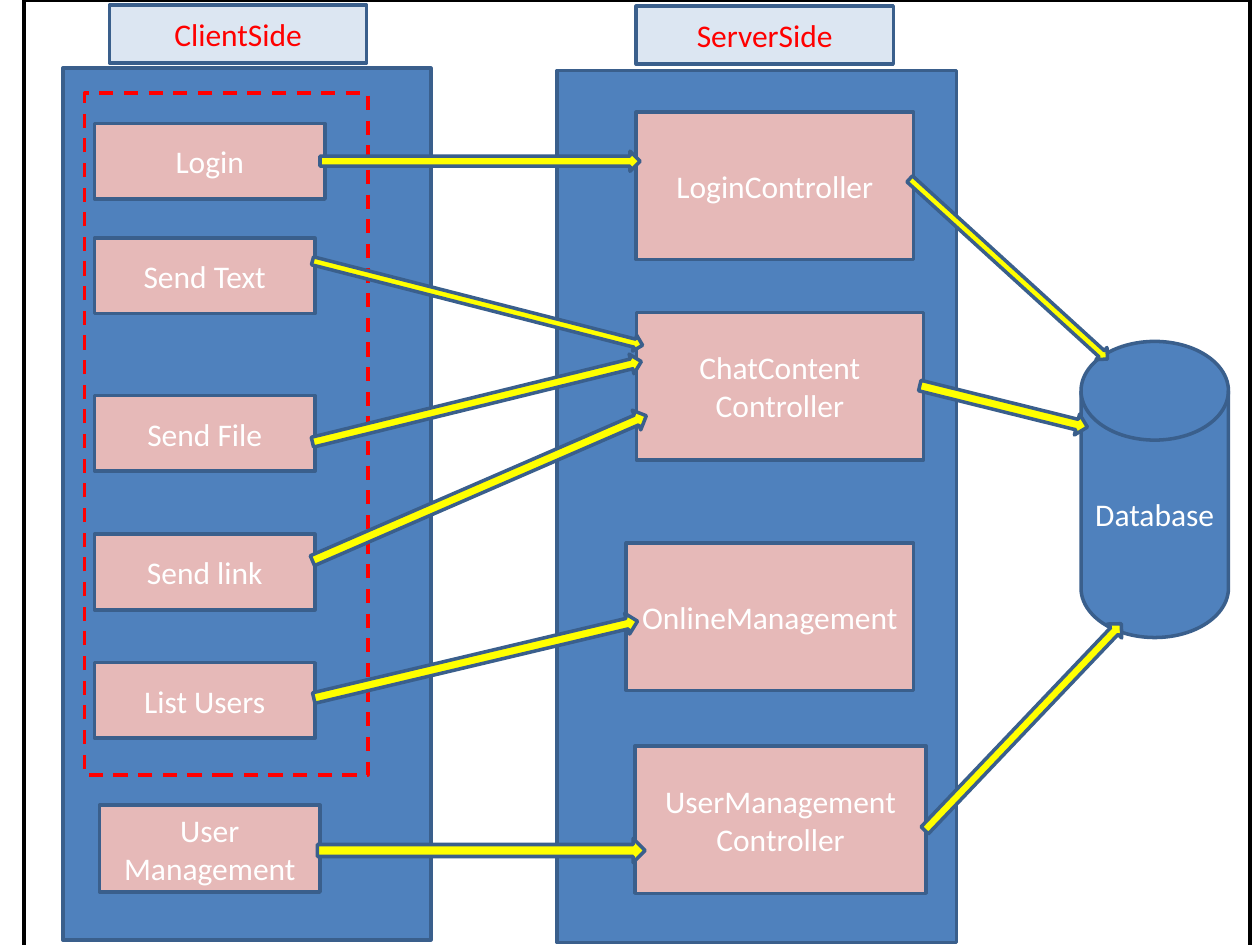
import math
from dataclasses import dataclass

from pptx import Presentation
from pptx.dml.color import RGBColor
from pptx.enum import dml, shapes, text
from pptx.util import Inches, Pt


@dataclass(frozen=True)
class Theme:
    """Colours and type of the diagram."""
    panel: str = "4F81BD"
    outline: str = "3A5F8C"
    module: str = "E6B9B8"
    header: str = "DCE6F2"
    arrow: str = "FFFF00"
    accent: str = "FF0000"
    border: str = "000000"
    light: str = "FFFFFF"
    font: str = "Calibri"
    size: int = 18
    line: int = 2


THEME = Theme()
KIND = shapes.MSO_SHAPE


def add_box(page, box, fill=None, label="", line=THEME.outline,
            color=THEME.light, kind=KIND.RECTANGLE):
    """Draw one outlined shape, with a centred label if given."""
    shape = page.shapes.add_shape(kind, *(Inches(side) for side in box))
    shape.shadow.inherit = False
    if fill:
        shape.fill.solid()
        shape.fill.fore_color.rgb = RGBColor.from_string(fill)
    else:
        shape.fill.background()
    shape.line.color.rgb = RGBColor.from_string(line)
    shape.line.width = Pt(THEME.line)
    if label:
        frame = shape.text_frame
        frame.word_wrap = True
        frame.vertical_anchor = text.MSO_ANCHOR.MIDDLE
        frame.text = label
        for para in frame.paragraphs:
            para.alignment = text.PP_ALIGN.CENTER
            para.font.name = THEME.font
            para.font.size = Pt(THEME.size)
            para.font.color.rgb = RGBColor.from_string(color)
    return shape


def add_side(page, box, title, header, modules):
    """Draw a panel with its header and modules, placed from its corner."""
    left, top = box[:2]
    add_box(page, box, THEME.panel)
    for label, x, y, width, height in modules:
        add_box(page, (left + x, top + y, width, height), THEME.module, label)
    x, y = header
    add_box(page, (left + x, top + y, 2.04, 0.46), THEME.header, title,
            color=THEME.accent)


def add_client(page, box):
    """Draw the client panel and the dashed frame round its chat modules."""
    rows = [("Send Text", 1.35), ("Send File", 2.6), ("Send link", 3.7),
            ("List Users", 4.72)]
    modules = [("Login", 0.25, 0.44, 1.83, 0.6)]
    modules += [(label, 0.25, y, 1.75, 0.6) for label, y in rows]
    modules.append(("User Management", 0.29, 5.85, 1.75, 0.69))
    add_side(page, box, "ClientSide", (0.37, -0.5), modules)
    group = add_box(page, (box[0] + 0.17, box[1] + 0.2, 2.25, 5.41),
                    line=THEME.accent)
    group.line.dash_style = dml.MSO_LINE.DASH


def add_server(page, box):
    """Draw the server panel with its controllers."""
    rows = [("LoginController", 0.63, 0.33, 2.2),
            ("ChatContent\nController", 0.63, 1.92, 2.28),
            ("OnlineManagement", 0.55, 3.75, 2.28),
            ("UserManagement\nController", 0.62, 5.36, 2.31)]
    add_side(page, box, "ServerSide", (0.63, -0.51),
             [(*row, 1.17) for row in rows])


def add_arrow(page, start, end, thickness):
    """Draw a block arrow from start to end."""
    (x1, y1), (x2, y2) = start, end
    length = math.dist(start, end)
    box = ((x1 + x2 - length) / 2, (y1 + y2 - thickness) / 2, length, thickness)
    arrow = add_box(page, box, THEME.arrow, kind=KIND.RIGHT_ARROW)
    arrow.rotation = math.degrees(math.atan2(y2 - y1, x2 - x1))


FLOWS = [
    ((2.54, 1.28), (5.08, 1.28), 0.16),
    ((2.48, 2.07), (5.1, 2.74), 0.13),
    ((2.48, 3.51), (5.09, 2.87), 0.16),
    ((2.48, 4.45), (5.13, 3.3), 0.17),
    ((2.49, 5.54), (5.06, 4.93), 0.17),
    ((2.52, 6.75), (5.12, 6.75), 0.19),
    ((7.22, 1.42), (8.79, 2.85), 0.13),
    ((7.3, 3.06), (8.63, 3.39), 0.17),
    ((7.34, 6.59), (8.9, 4.95), 0.16),
]


def build():
    """Build the architecture slide and save the deck."""
    deck = Presentation()
    deck.slide_width, deck.slide_height = Inches(10), Inches(7.5)
    page = deck.slides.add_slide(deck.slide_layouts[6])
    add_box(page, (0.19, 0, 9.73, 7.64), line=THEME.border)
    add_client(page, (0.5, 0.54, 2.92, 6.92))
    add_server(page, (4.42, 0.56, 3.17, 6.92))
    add_box(page, (8.58, 2.71, 1.17, 2.35), THEME.panel, "Database",
            kind=KIND.FLOWCHART_MAGNETIC_DISK)
    for flow in FLOWS:
        add_arrow(page, *flow)
    deck.save("out.pptx")


build()
